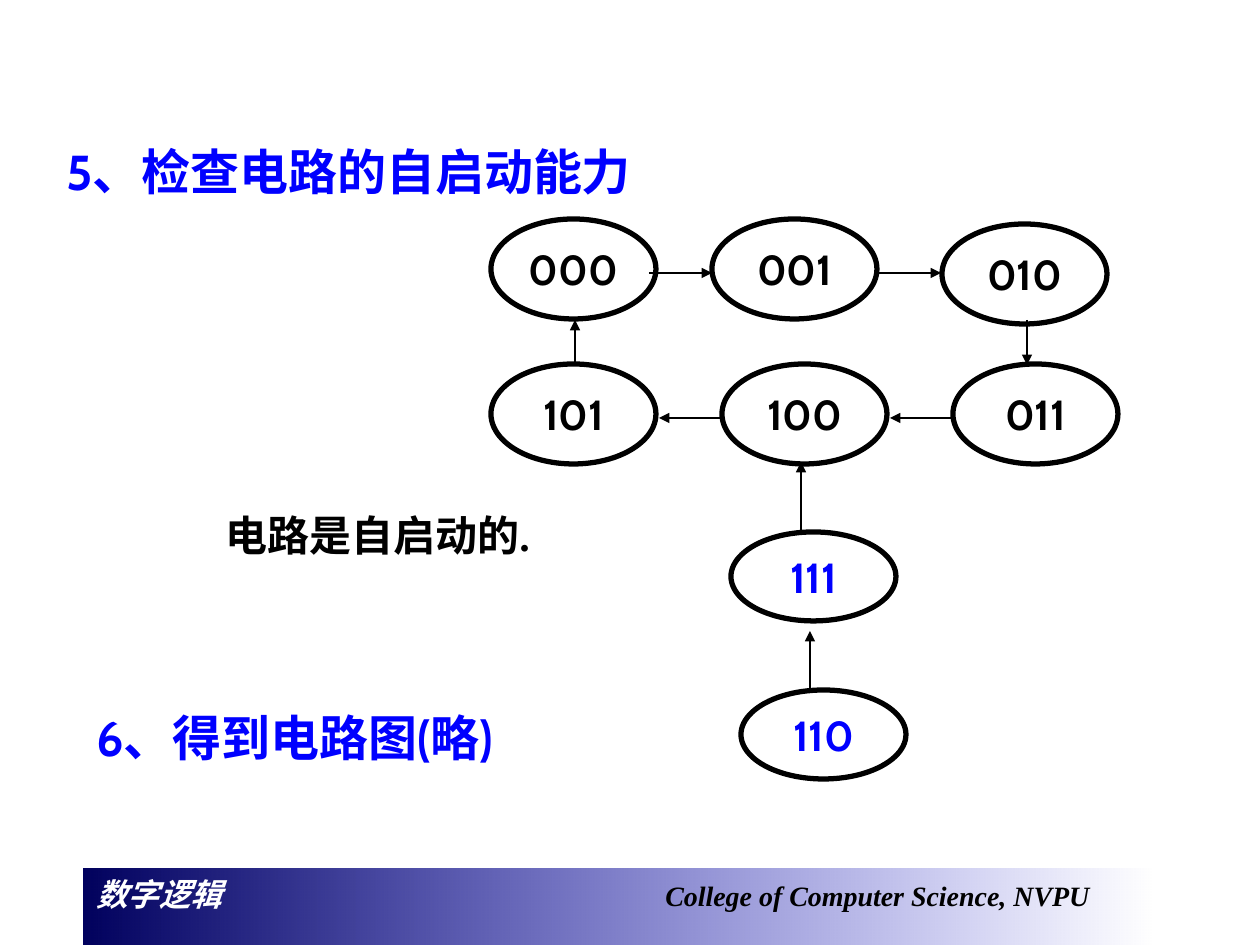
import dataclasses

import lxml.etree
import pptx
import pptx.dml.color
import pptx.enum.dml
import pptx.enum.shapes
import pptx.enum.text
import pptx.oxml.ns
import pptx.util

EMU_PER_PX = 914400 / 126
BLACK, BLUE, WHITE = "000000", "0000FF", "FFFFFF"
NAVY, ROYAL = "00005E", "0000CC"
STATE_WIDTH = 165
BODY_FONT, SERIF_FONT = "Cabin", "Times New Roman"


@dataclasses.dataclass(frozen=True)
class State:
    code: str
    left: int
    top: int
    height: int = 100
    color: str = BLACK


@dataclasses.dataclass(frozen=True)
class Transition:
    start: tuple[int, int]
    end: tuple[int, int]
    weight: float = 1.5


@dataclasses.dataclass(frozen=True)
class Caption:
    text: str
    left: int
    top: int
    width: int
    height: int
    size: int = 28
    font: str = BODY_FONT
    color: str = BLUE


STATES = [
    State("000", 491, 219),
    State("001", 712, 219),
    State("010", 942, 224),
    State("011", 953, 364),
    State("100", 722, 364),
    State("101", 491, 364),
    State("110", 741, 690, 89, BLUE),
    State("111", 731, 532, 89, BLUE),
]

TRANSITIONS = [
    Transition((649, 273), (712, 273)),
    Transition((878, 273), (941, 273)),
    Transition((1027, 320), (1027, 365)),
    Transition((953, 418), (890, 418)),
    Transition((722, 418), (659, 418)),
    Transition((575, 365), (575, 320)),
    Transition((810, 690), (810, 631), 0.75),
    Transition((801, 532), (801, 462), 0.75),
]

CAPTIONS = [
    Caption("5、检查电路的自启动能力", 54, 135, 625, 72),
    Caption("电路是自启动的.", 213, 503, 437, 63, 24, SERIF_FONT, BLACK),
    Caption("6、得到电路图(略)", 84, 701, 625, 72),
]


def px(*lengths: int) -> list[pptx.util.Emu]:
    return [pptx.util.Emu(round(length * EMU_PER_PX)) for length in lengths]


def rgb(value: str) -> pptx.dml.color.RGBColor:
    return pptx.dml.color.RGBColor.from_string(value)


def add_child(parent, tag: str, **attributes: str):
    return lxml.etree.SubElement(parent, pptx.oxml.ns.qn(tag), **attributes)


def style_run(run, size: int, font: str, color: str, italic: bool = False) -> None:
    run.font.size = pptx.util.Pt(size)
    run.font.name = font
    run.font.bold = True
    run.font.italic = italic
    run.font.color.rgb = rgb(color)


def draw_footer(slide) -> None:
    band = slide.shapes.add_shape(
        pptx.enum.shapes.MSO_SHAPE.RECTANGLE, *px(84, 869, 1071, 88))
    band.shadow.inherit = False
    band.line.fill.background()
    band.fill.gradient()
    band.fill.gradient_angle = 0
    for stop, color in zip(band.fill.gradient_stops, (NAVY, ROYAL)):
        stop.color.rgb = rgb(color)
    # The right end of the band fades to full transparency.
    end_color = band.fill._xPr.findall(".//" + pptx.oxml.ns.qn("a:srgbClr"))[-1]
    add_child(end_color, "a:alpha", val="0")

    band.text_frame.vertical_anchor = pptx.enum.text.MSO_ANCHOR.TOP
    paragraph = band.text_frame.paragraphs[0]
    paragraph.alignment = pptx.enum.text.PP_ALIGN.LEFT
    tabs = add_child(paragraph._p.get_or_add_pPr(), "a:tabLst")
    add_child(tabs, "a:tab", pos=str(px(569)[0]), algn="l")
    for text, size, color in (
        ("数字逻辑\t", 18, WHITE),
        ("College of Computer Science, NVPU", 16, BLACK),
    ):
        run = paragraph.add_run()
        run.text = text
        style_run(run, size, SERIF_FONT, color, italic=True)


def draw_caption(slide, caption: Caption) -> None:
    box = slide.shapes.add_textbox(
        *px(caption.left, caption.top, caption.width, caption.height))
    box.text_frame.word_wrap = True
    box.text_frame.text = caption.text
    style_run(box.text_frame.paragraphs[0].runs[0],
              caption.size, caption.font, caption.color)


def draw_state(slide, state: State) -> None:
    oval = slide.shapes.add_shape(
        pptx.enum.shapes.MSO_SHAPE.OVAL,
        *px(state.left, state.top, STATE_WIDTH, state.height))
    oval.shadow.inherit = False
    oval.fill.background()
    oval.line.color.rgb = rgb(BLACK)
    oval.line.width = pptx.util.Pt(3)
    oval.text_frame.text = state.code
    oval.text_frame.vertical_anchor = pptx.enum.text.MSO_ANCHOR.MIDDLE
    paragraph = oval.text_frame.paragraphs[0]
    paragraph.alignment = pptx.enum.text.PP_ALIGN.CENTER
    style_run(paragraph.runs[0], 24, BODY_FONT, state.color)


def draw_transition(slide, transition: Transition) -> None:
    arrow = slide.shapes.add_connector(
        pptx.enum.shapes.MSO_CONNECTOR.STRAIGHT,
        *px(*transition.start, *transition.end))
    arrow.line.color.rgb = rgb(BLACK)
    arrow.line.width = pptx.util.Pt(transition.weight)
    add_child(arrow.line._get_or_add_ln(), "a:tailEnd", type="triangle")
    add_child(arrow._element.spPr, "a:effectLst")


def main() -> None:
    deck = pptx.Presentation()
    deck.slide_width, deck.slide_height = px(1260, 945)
    slide = deck.slides.add_slide(deck.slide_layouts[6])
    draw_footer(slide)
    for caption in CAPTIONS:
        draw_caption(slide, caption)
    for state in STATES:
        draw_state(slide, state)
    for transition in TRANSITIONS:
        draw_transition(slide, transition)
    deck.save("out.pptx")


if __name__ == "__main__":
    main()
